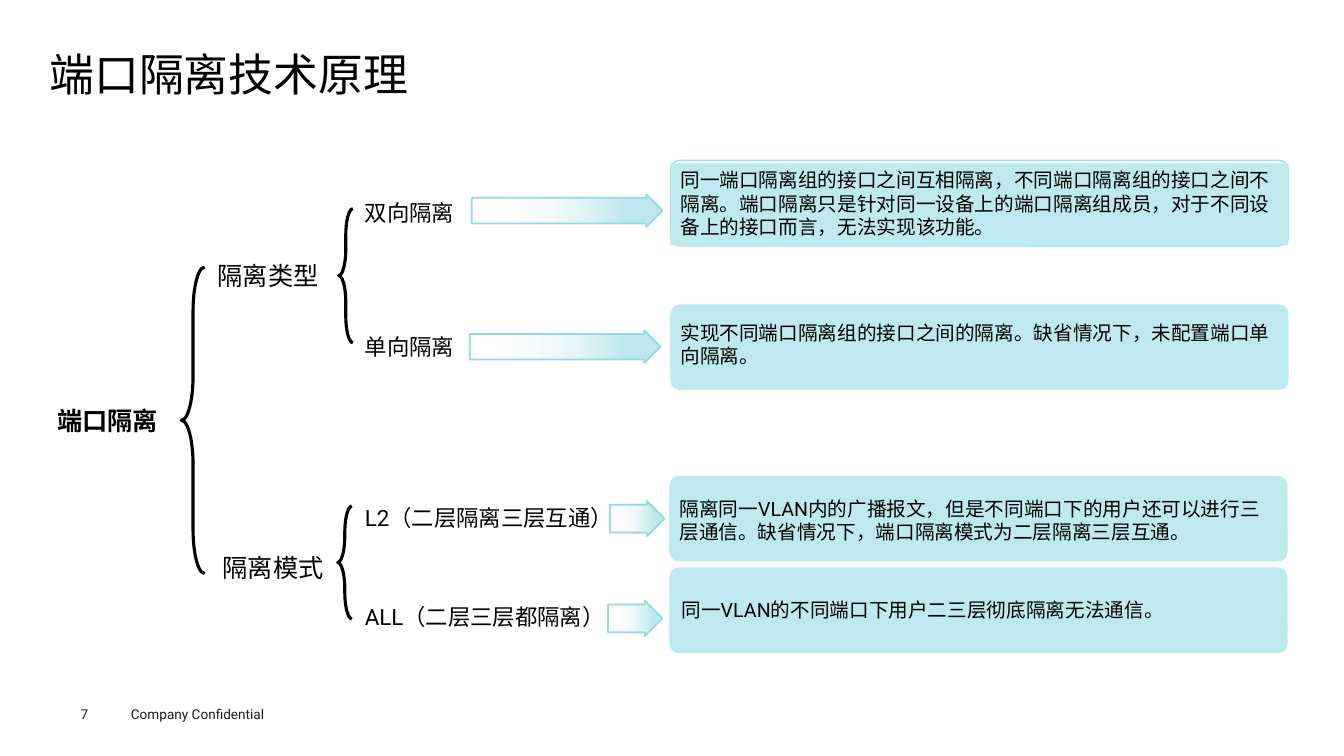
from dataclasses import dataclass
from pptx import Presentation, util as u
from pptx.dml.color import RGBColor
from pptx.enum import shapes, text
from pptx.oxml import ns, xmlchemy


@dataclass(frozen=True)
class Theme:
    """Colours, font and type sizes of the slide."""
    font: str = "Roboto"
    ink: str = "000000"
    footer_ink: str = "1D1D1B"
    card: str = "BEE9EE"
    frame: str = "F3FBFE"
    frame_line: str = "99DFF9"
    arrow_start: str = "F7FAFD"
    arrow_line: str = "94DAE2"
    title: float = 32
    topic: float = 18
    leaf: float = 16
    note: float = 14
    footer: float = 9.7


@dataclass(frozen=True)
class Leaf:
    """One end of the tree; the drops are measured from the top of its card."""
    label: str
    note: str
    card: tuple
    label_drop: float
    label_width: float
    arrow: tuple
    note_drop: float
    note_height: float
    note_shift: float = 0
    wraps: bool = False
    framed: bool = False


THEME = Theme()
LABEL_LEFT = 3.52
LEAVES = [
    Leaf("双向隔离",
         "同一端口隔离组的接口之间互相隔离，不同端口隔离组的接口之间不隔离。"
         "端口隔离只是针对同一设备上的端口隔离组成员，对于不同设备上的接口而言，无法实现该功能。",
         (6.65, 1.59, 6.13, 0.85), 0.34, 1.1, (4.68, 0.34, 1.89, 0.32), 0.03, 0.81, framed=True),
    Leaf("单向隔离",
         "实现不同端口隔离组的接口之间的隔离。缺省情况下，未配置端口单向隔离。",
         (6.65, 3.02, 6.13, 0.85), 0.24, 1.1, (4.66, 0.26, 1.89, 0.32), 0.11, 0.57),
    Leaf("L2（二层隔离三层互通）",
         "隔离同一VLAN内的广播报文，但是不同端口下的用户还可以进行三层通信。"
         "缺省情况下，端口隔离模式为二层隔离三层互通。",
         (6.64, 4.72, 6.13, 0.85), 0.23, 2.69, (6.05, 0.25, 0.54, 0.35), 0.16, 0.57, wraps=True),
    Leaf("ALL（二层三层都隔离）",
         "同一VLAN的不同端口下用户二三层彻底隔离无法通信。",
         (6.64, 5.63, 6.13, 0.85), 0.3, 2.6, (6.03, 0.33, 0.54, 0.35), 0.25, 0.34,
         note_shift=0.02, wraps=True),
]


def rgb(colour):
    """Turn a hex colour into an RGBColor."""
    return RGBColor.from_string(colour)


def inches(box):
    """Turn a box in inches into lengths."""
    return [u.Inches(length) for length in box]


def write(frame, wording, size, colour=THEME.ink, bold=False):
    """Write one left-aligned run into a text frame."""
    paragraph = frame.paragraphs[0]
    paragraph.alignment = text.PP_ALIGN.LEFT
    run = paragraph.add_run()
    run.text = wording
    run.font.name, run.font.size, run.font.bold = THEME.font, u.Pt(size), bold
    run.font.color.rgb = rgb(colour)


def add_label(slide, box, wording, size, wrap=False, inset=None, **style):
    """Add a text box with one run."""
    frame = slide.shapes.add_textbox(*inches(box)).text_frame
    frame.word_wrap = wrap
    if inset is not None:
        frame.margin_left = frame.margin_right = u.Inches(inset)
        frame.margin_top = frame.margin_bottom = u.Inches(inset)
    write(frame, wording, size, **style)


def add_figure(slide, kind, box, fill=None, line=None, width=1, adjustments=()):
    """Add a flat preset shape."""
    figure = slide.shapes.add_shape(kind, *inches(box))
    figure.shadow.inherit = False
    for index, value in enumerate(adjustments):
        figure.adjustments[index] = value
    if fill:
        figure.fill.solid()
        figure.fill.fore_color.rgb = rgb(fill)
    else:
        figure.fill.background()
    if line:
        figure.line.color.rgb = rgb(line)
        figure.line.width = u.Pt(width)
    else:
        figure.line.fill.background()
    return figure


def add_title(slide, box, wording):
    """Place and format the title."""
    title = slide.shapes.title
    title.left, title.top, title.width, title.height = inches(box)
    frame = title.text_frame
    frame.margin_left = frame.margin_right = frame.margin_top = frame.margin_bottom = 0
    frame.vertical_anchor = text.MSO_ANCHOR.MIDDLE
    frame.auto_size = text.MSO_AUTO_SIZE.NONE
    frame.paragraphs[0].line_spacing = 0.9
    write(frame, wording, THEME.title)


def add_branch(slide, brace_box, wording, label_offset, bold=False):
    """Add a brace and the topic label placed relative to it."""
    add_figure(slide, shapes.MSO_SHAPE.LEFT_BRACE, brace_box, line=THEME.ink, width=2.25,
               adjustments=(1.896, 0.5))
    left, top, _, height = brace_box
    across, down = label_offset
    add_label(slide, (left + across, top + height / 2 + down, 1.21, 0.4), wording,
              THEME.topic, bold=bold)


def add_arrow(slide, box):
    """Add an arrow that fades in from clear to the card colour."""
    arrow = add_figure(slide, shapes.MSO_SHAPE.RIGHT_ARROW, box, line=THEME.arrow_line,
                       width=1.25, adjustments=(0.793, 0.5))
    arrow.fill.gradient()
    arrow.fill.gradient_angle = 0
    ramp = ((0.15, THEME.arrow_start), (0.81, THEME.card))
    for stop, (position, colour) in zip(arrow.fill.gradient_stops, ramp):
        stop.position = position
        stop.color.rgb = rgb(colour)
    start = next(arrow.element.spPr.iter(ns.qn("a:srgbClr")))
    alpha = xmlchemy.OxmlElement("a:alpha")
    alpha.set("val", "0")
    start.append(alpha)


def add_leaf(slide, leaf):
    """Add a label, its arrow and its note card."""
    left, top, width, _ = leaf.card
    add_label(slide, (LABEL_LEFT, top + leaf.label_drop, leaf.label_width, 0.37),
              leaf.label, THEME.leaf, wrap=leaf.wraps)
    add_figure(slide, shapes.MSO_SHAPE.ROUNDED_RECTANGLE, leaf.card,
               fill=THEME.frame if leaf.framed else THEME.card,
               line=THEME.frame_line if leaf.framed else None, adjustments=(0.108,))
    note = add_figure(slide, shapes.MSO_SHAPE.RECTANGLE,
                      (left + leaf.note_shift, top + leaf.note_drop,
                       width - leaf.note_shift, leaf.note_height), fill=THEME.card)
    note.text_frame.word_wrap = True
    note.text_frame.vertical_anchor = text.MSO_ANCHOR.TOP
    write(note.text_frame, leaf.note, THEME.note)
    arrow_left, arrow_drop, arrow_width, arrow_height = leaf.arrow
    add_arrow(slide, (arrow_left, top + arrow_drop, arrow_width, arrow_height))


def add_footer(slide, box):
    """Add the page number and the confidentiality line."""
    left, top, width, height = box
    add_label(slide, (left, top + 0.05, 0.55, 0.16), "7", THEME.footer, inset=0,
              colour=THEME.footer_ink)
    add_label(slide, (left + 0.4, top, width - 0.4, height), "Company Confidential",
              THEME.footer, colour=THEME.footer_ink)


def main():
    """Build and save the slide."""
    deck = Presentation()
    deck.slide_width, deck.slide_height = u.Inches(13.33), u.Inches(7.5)
    slide = deck.slides.add_slide(deck.slide_layouts[5])
    add_title(slide, (0.49, 0.49, 12.35, 0.54), "端口隔离技术原理")
    add_branch(slide, (1.8, 2.65, 0.23, 3.04), "端口隔离", (-1.33, -0.2), bold=True)
    add_branch(slide, (3.36, 2.07, 0.14, 1.33), "隔离类型", (-1.3, -0.2))
    add_branch(slide, (3.35, 5.02, 0.14, 1.12), "隔离模式", (-1.24, -0.15))
    for leaf in LEAVES:
        add_leaf(slide, leaf)
    add_footer(slide, (0.8, 6.95, 2, 0.27))
    deck.save("out.pptx")


if __name__ == "__main__":
    main()
